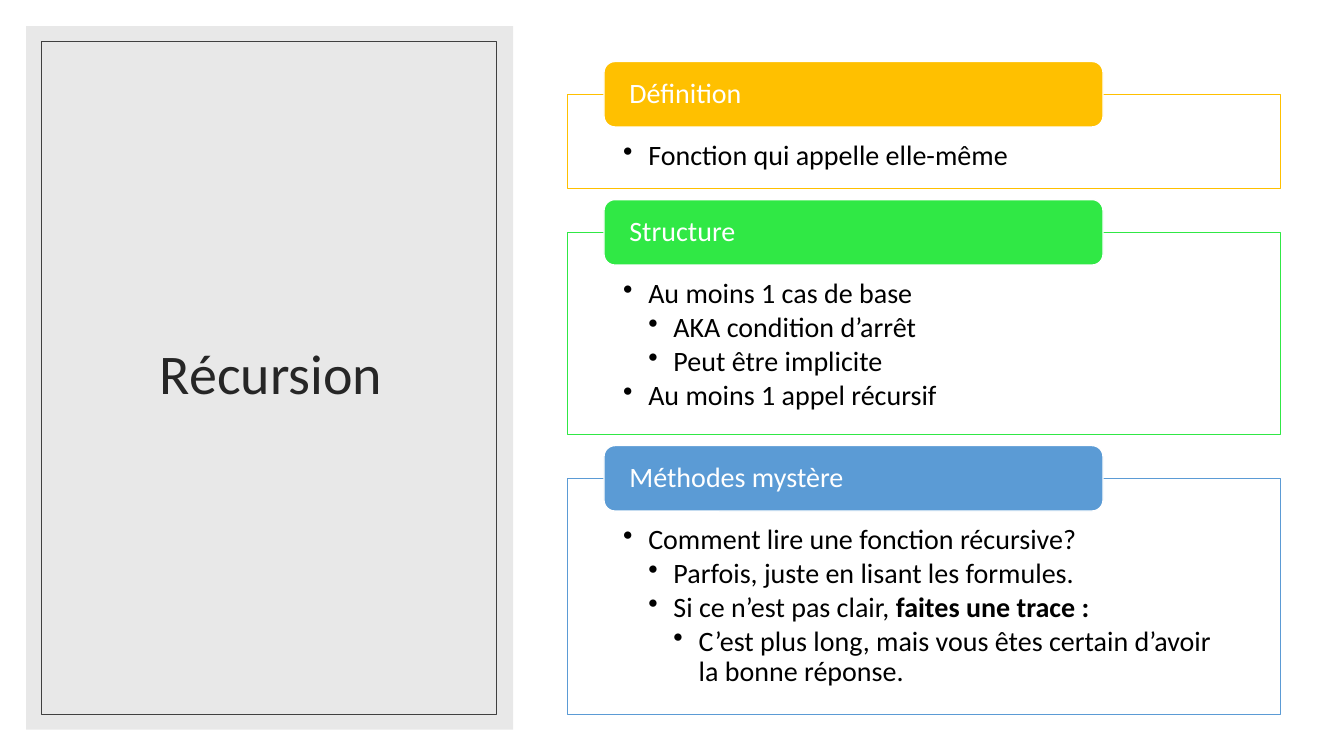
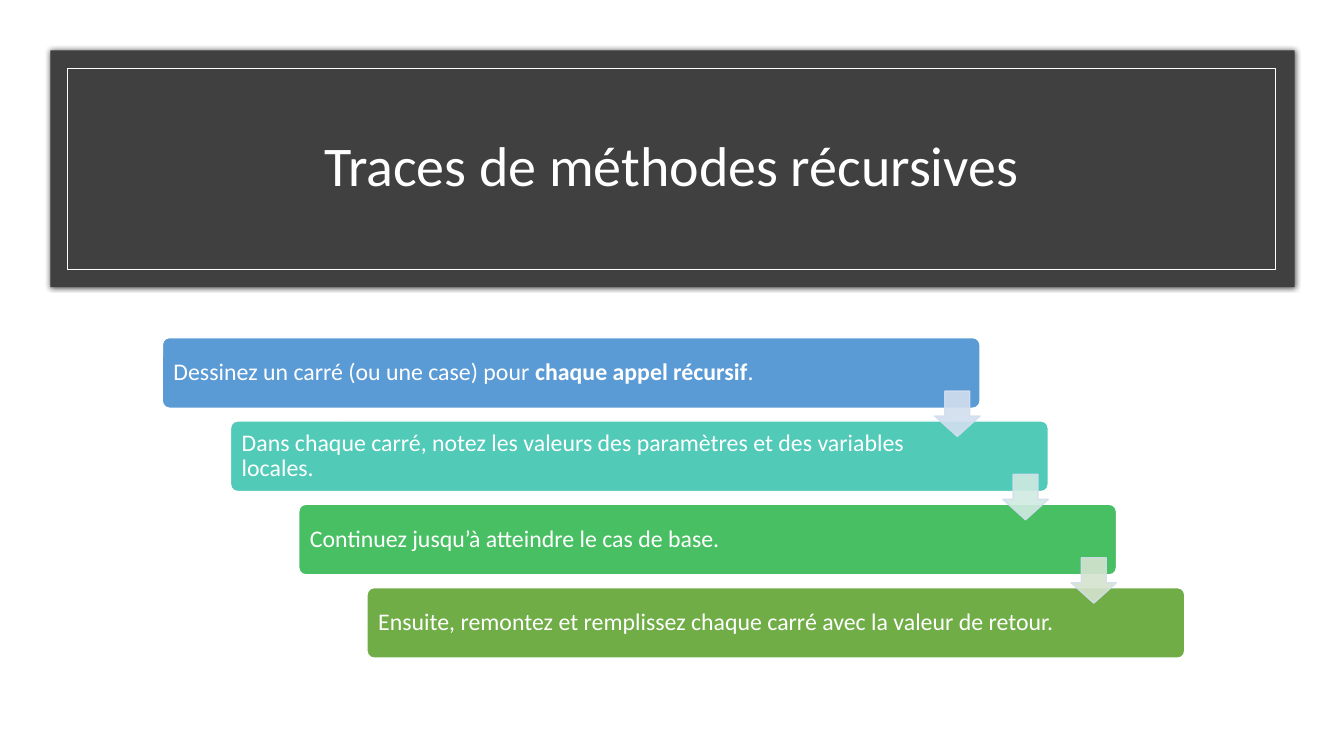
from dataclasses import dataclass

from lxml import etree
from pptx import Presentation
from pptx.dml.color import RGBColor
from pptx.enum.shapes import MSO_SHAPE
from pptx.enum.text import MSO_ANCHOR, MSO_AUTO_SIZE, PP_ALIGN
from pptx.oxml.ns import qn
from pptx.util import Inches, Pt

RECTANGLE = MSO_SHAPE.RECTANGLE
ROUNDED = MSO_SHAPE.ROUNDED_RECTANGLE
DOWN_ARROW = MSO_SHAPE.DOWN_ARROW
LEFT, CENTER = PP_ALIGN.LEFT, PP_ALIGN.CENTER
TOP, MIDDLE = MSO_ANCHOR.TOP, MSO_ANCHOR.MIDDLE


@dataclass(frozen=True)
class Theme:
    font: str = "Calibri"
    title_size: float = 40
    body_size: float = 20
    step_size: float = 17
    white: str = "FFFFFF"
    black: str = "000000"
    ink: str = "262626"
    charcoal: str = "404040"
    pale_gray: str = "E8E8E8"
    amber: str = "FFC000"
    lime: str = "30E845"
    blue: str = "5B9BD5"
    teal: str = "52CAB8"
    green: str = "49BF64"
    olive: str = "70AD47"
    pale_blue: str = "D2DEEF"
    pale_teal: str = "D0EAE1"
    pale_green: str = "D5E3CF"


theme = Theme()


def add_block(slide, kind, box, fill=None, line=None, line_width=1, adjustments=(), opacity=100):
    """Draw a preset shape without shadow; box is left, top, width, height in inches."""
    shape = slide.shapes.add_shape(kind, *[Inches(length) for length in box])
    shape.shadow.inherit = False
    for index, value in enumerate(adjustments):
        shape.adjustments[index] = value
    if fill:
        shape.fill.solid()
        shape.fill.fore_color.rgb = RGBColor.from_string(fill)
    else:
        shape.fill.background()
    if line:
        shape.line.color.rgb = RGBColor.from_string(line)
        shape.line.width = Pt(line_width)
    else:
        shape.line.fill.background()
    if opacity < 100:
        for color in shape.element.spPr.iter(qn("a:srgbClr")):
            etree.SubElement(color, qn("a:alpha"), val=str(opacity * 1000))
    return shape


def write_text(shape, items, size, color, align=LEFT, anchor=MIDDLE,
               insets=(0.1, 0.05, 0.1, 0.05), space_after=0):
    """Write (level, text) items; level 0 has no bullet and ** marks bold parts."""
    frame = shape.text_frame
    frame.word_wrap = True
    frame.auto_size = MSO_AUTO_SIZE.NONE
    frame.vertical_anchor = anchor
    (frame.margin_left, frame.margin_top,
     frame.margin_right, frame.margin_bottom) = [Inches(inset) for inset in insets]
    for index, (level, text) in enumerate(items):
        paragraph = frame.add_paragraph() if index else frame.paragraphs[0]
        paragraph.alignment = align
        paragraph.line_spacing = 0.9
        paragraph.space_after = Pt(space_after)
        if level:
            paragraph.level = level
            properties = paragraph._p.get_or_add_pPr()
            properties.set("marL", str(Inches(0.25 * level)))
            properties.set("indent", str(Inches(-0.25)))
            etree.SubElement(properties, qn("a:buChar"), char="•")
        for part, content in enumerate(text.split("**")):
            run = paragraph.add_run()
            run.text = content
            run.font.name = theme.font
            run.font.size = Pt(size)
            run.font.bold = part % 2 == 1
            run.font.color.rgb = RGBColor.from_string(color)


presentation = Presentation()
presentation.slide_width = Inches(13.33)
presentation.slide_height = Inches(7.5)
title_only = presentation.slide_layouts[5]

# Titled bands: title, title box, band box, inner frame box, colours of band, frame and text
titled_bands = [
    ("Récursion", (0.63, 0.61, 4.12, 6.24), (0.26, 0.26, 4.83, 6.98),
     (0.41, 0.41, 4.51, 6.68), theme.pale_gray, theme.charcoal, theme.ink),
    ("Traces de méthodes récursives", (1.16, 0.92, 11, 1.5), (0.5, 0.5, 12.34, 2.35),
     (0.67, 0.68, 11.98, 1.99), theme.charcoal, theme.white, theme.white),
]
slides, bands = [], []
for text, title_box, band_box, frame_box, band_color, frame_color, text_color in titled_bands:
    slide = presentation.slides.add_slide(title_only)
    bands.append(add_block(slide, RECTANGLE, band_box, fill=band_color))
    add_block(slide, RECTANGLE, frame_box, line=frame_color, line_width=0.5)
    title = slide.shapes.title
    title.left, title.top, title.width, title.height = [Inches(length) for length in title_box]
    write_text(title, [(0, text)], theme.title_size, text_color, align=CENTER)
    slide.shapes.element.append(title.element)  # bring the title in front of its band
    slides.append(slide)
recursion_slide, trace_slide = slides

# Slide 1: stacked panels, each with a label across its top edge
panels = [
    ("Définition", theme.amber, 0.93, [(1, "Fonction qui appelle elle-même")]),
    ("Structure", theme.lime, 2, [
        (1, "Au moins 1 cas de base"),
        (2, "AKA condition d’arrêt"),
        (2, "Peut être implicite"),
        (1, "Au moins 1 appel récursif"),
    ]),
    ("Méthodes mystère", theme.blue, 2.34, [
        (1, "Comment lire une fonction récursive?"),
        (2, "Parfois, juste en lisant les formules."),
        (2, "Si ce n’est pas clair, **faites une trace :**"),
        (3, "C’est plus long, mais vous êtes certain d’avoir la bonne réponse."),
    ]),
]
label_height, label_overlap, panel_gap = 0.65, 0.33, 0.11
label_top = 0.61
for label_text, color, panel_height, items in panels:
    panel_top = label_top + label_overlap
    panel = add_block(recursion_slide, RECTANGLE, (5.63, panel_top, 7.07, panel_height),
                      fill=theme.white, line=color)
    write_text(panel, items, theme.body_size, theme.black, anchor=TOP,
               insets=(0.55, 0.46, 0.55, 0.16), space_after=2.7)
    label = add_block(recursion_slide, ROUNDED, (5.99, label_top, 4.95, label_height),
                      fill=color, line=theme.white)
    write_text(label, [(0, label_text)], theme.body_size, theme.white,
               insets=(0.22, 0.03, 0.22, 0.03))
    label_top = panel_top + panel_height + panel_gap

# Slide 2: soft glow around the band, then a staircase of steps joined by arrows
glow = etree.SubElement(bands[1].element.spPr.find(qn("a:effectLst")), qn("a:outerShdw"),
                        blurRad=str(Pt(4)), dist="0", dir="0")
glow_color = etree.SubElement(glow, qn("a:srgbClr"), val=theme.black)
etree.SubElement(glow_color, qn("a:alpha"), val="66000")

steps = [
    ("Dessinez un carré (ou une case) pour **chaque appel récursif**.", theme.blue),
    ("Dans chaque carré, notez les valeurs des paramètres et des variables locales.", theme.teal),
    ("Continuez jusqu’à atteindre le cas de base.", theme.green),
    ("Ensuite, remontez et remplissez chaque carré avec la valeur de retour.", theme.olive),
]
arrow_colors = [theme.pale_blue, theme.pale_teal, theme.pale_green]
step_width, step_height, arrow_size = 8.11, 0.7, 0.45
corners = [(1.61 + index * 2.03 / 3, 3.35 + index * 2.48 / 3) for index in range(len(steps))]
for (text, color), (left, top) in zip(steps, corners):
    step = add_block(trace_slide, ROUNDED, (left, top, step_width, step_height),
                     fill=color, line=theme.white, adjustments=[0.1])
    write_text(step, [(0, text)], theme.step_size, theme.white, insets=(0.09, 0.09, 1.23, 0.09))
for color, (left, top) in zip(arrow_colors, corners):
    arrow_box = (left + step_width - arrow_size, top + 0.53, arrow_size, arrow_size)
    arrow = add_block(trace_slide, DOWN_ARROW, arrow_box, fill=color, line=theme.pale_blue,
                      opacity=90)
    arrow.adjustments[0], arrow.adjustments[1] = 0.55, 0.45

presentation.save("out.pptx")
